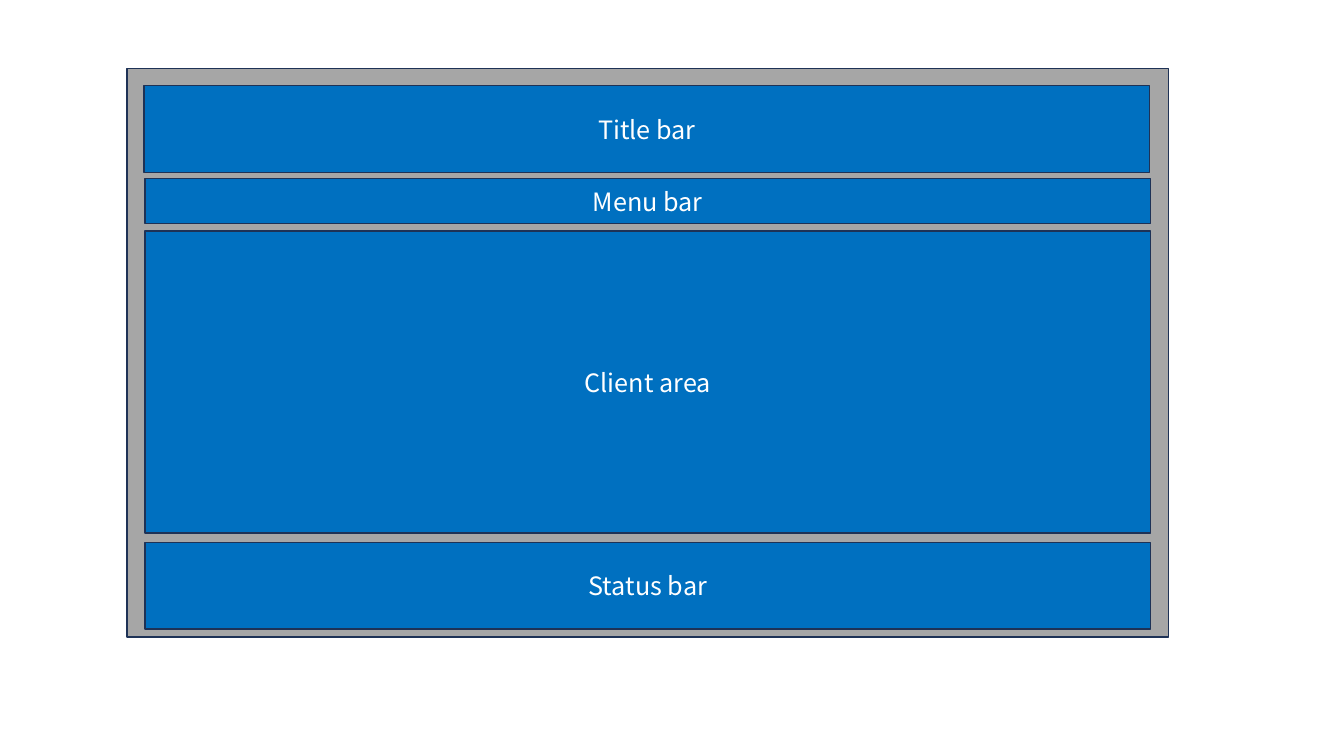
from pptx import Presentation
from pptx.dml.color import RGBColor
from pptx.enum.shapes import MSO_SHAPE
from pptx.enum.text import MSO_ANCHOR, PP_ALIGN
from pptx.util import Inches, Pt

FONT = "Noto Sans CJK KR"
COLORS = {"frame": "A6A6A6", "bar": "0070C0", "outline": "1E3256", "text": "FFFFFF"}
WINDOW_FRAME = (1.26, 0.68, 10.33, 5.64)
BAR_WIDTH = 9.97
BARS = [
    ("Title bar", 1.43, 0.85, 0.86),
    ("Status bar", 1.44, 5.38, 0.86),
    ("Client area", 1.44, 2.29, 3),
    ("Menu bar", 1.44, 1.77, 0.45),
]


def add_box(slide, bounds, color):
    shape = slide.shapes.add_shape(MSO_SHAPE.RECTANGLE, *map(Inches, bounds))
    shape.shadow.inherit = False
    shape.fill.solid()
    shape.fill.fore_color.rgb = RGBColor.from_string(COLORS[color])
    shape.line.color.rgb = RGBColor.from_string(COLORS["outline"])
    shape.line.width = Pt(1)
    return shape


def add_label(shape, text):
    text_frame = shape.text_frame
    text_frame.text = text
    text_frame.word_wrap = True
    text_frame.vertical_anchor = MSO_ANCHOR.MIDDLE
    paragraph = text_frame.paragraphs[0]
    paragraph.alignment = PP_ALIGN.CENTER
    font = paragraph.runs[0].font
    font.name = FONT
    font.size = Pt(18)
    font.color.rgb = RGBColor.from_string(COLORS["text"])


def main():
    presentation = Presentation()
    presentation.slide_width = Inches(13.33)
    presentation.slide_height = Inches(7.5)
    slide = presentation.slides.add_slide(presentation.slide_layouts[6])
    add_box(slide, WINDOW_FRAME, "frame")
    for label, left, top, height in BARS:
        bar = add_box(slide, (left, top, BAR_WIDTH, height), "bar")
        add_label(bar, label)
    presentation.save("out.pptx")


if __name__ == "__main__":
    main()
